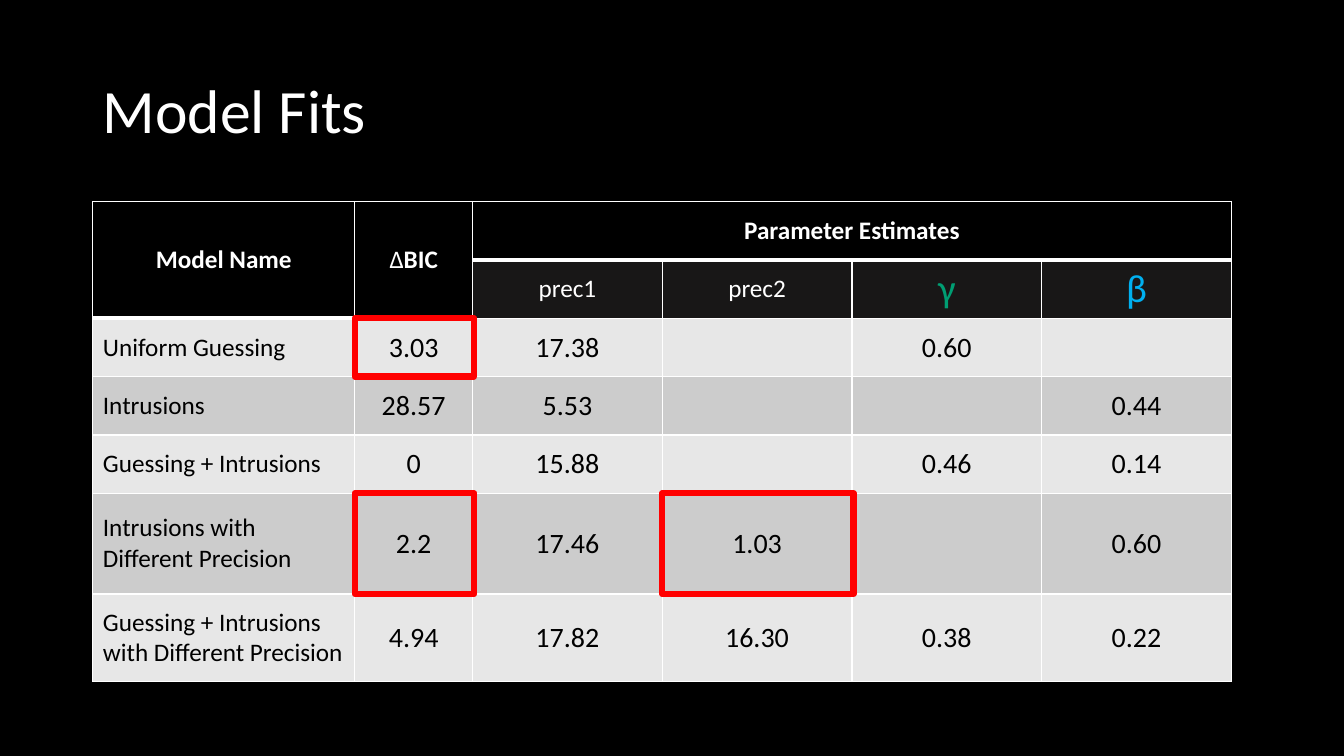
from dataclasses import dataclass

from lxml.etree import SubElement
from pptx import Presentation
from pptx.dml.color import RGBColor
from pptx.enum.shapes import MSO_SHAPE
from pptx.enum.text import MSO_ANCHOR, PP_ALIGN
from pptx.oxml.ns import qn
from pptx.slide import Slide
from pptx.table import Table, _Cell
from pptx.util import Cm, Pt

FONT = "Calibri"
BLACK = RGBColor(0x00, 0x00, 0x00)
WHITE = RGBColor(0xFF, 0xFF, 0xFF)
CHARCOAL = RGBColor(0x18, 0x17, 0x17)
LIGHT = RGBColor(0xE7, 0xE7, 0xE7)
GRAY = RGBColor(0xCC, 0xCC, 0xCC)
GREEN = RGBColor(0x00, 0x9E, 0x73)
BLUE = RGBColor(0x00, 0xB0, 0xF0)
RED = RGBColor(0xFF, 0x00, 0x00)

LEFT, TOP = 2.34, 5.08
COL_WIDTHS = [6.6, 2.97] + [4.78] * 4
ROW_HEIGHTS = [1.47] * 5 + [2.54, 2.21]


@dataclass
class Header:
    row: int
    col: int
    text: str
    rows: int = 1
    cols: int = 1
    size: int = 18
    color: RGBColor = WHITE
    bold: bool = False


@dataclass
class Model:
    name: str
    values: list[str]


@dataclass
class Highlight:
    row: int
    col: int


HEADERS = [
    Header(0, 0, "Model Name", rows=2, bold=True),
    Header(0, 1, "ΔBIC", rows=2, bold=True),
    Header(0, 2, "Parameter Estimates", cols=4, bold=True),
    Header(1, 2, "prec1"),
    Header(1, 3, "prec2"),
    Header(1, 4, "γ", size=28, color=GREEN),
    Header(1, 5, "β", size=28, color=BLUE),
]
MODELS = [
    Model("Uniform Guessing", ["3.03", "17.38", "", "0.60", ""]),
    Model("Intrusions", ["28.57", "5.53", "", "", "0.44"]),
    Model("Guessing + Intrusions", ["0", "15.88", "", "0.46", "0.14"]),
    Model("Intrusions with Different Precision", ["2.2", "17.46", "1.03", "", "0.60"]),
    Model("Guessing + Intrusions with Different Precision",
          ["4.94", "17.82", "16.30", "0.38", "0.22"]),
]
HIGHLIGHTS = [Highlight(2, 1), Highlight(5, 1), Highlight(5, 3)]


def border_below(row: int, col: int) -> int:
    """Return the width in points of the line under a cell."""
    return 3 if row == 0 or (row == 1 and col < 2) else 1


def style_cell(cell: _Cell, row: int, col: int, fill: RGBColor) -> None:
    """Give a cell its white borders, fill and vertical anchor."""
    tc_pr = cell._tc.get_or_add_tcPr()
    widths = {"a:lnL": 1, "a:lnR": 1,
              "a:lnT": border_below(row - 1, col), "a:lnB": border_below(row, col)}
    for tag, width in widths.items():
        ln = SubElement(tc_pr, qn(tag), w=str(Pt(width)))
        SubElement(SubElement(ln, qn("a:solidFill")), qn("a:srgbClr"), val=str(WHITE))
    cell.fill.solid()
    cell.fill.fore_color.rgb = fill
    cell.vertical_anchor = MSO_ANCHOR.MIDDLE


def write_cell(cell: _Cell, text: str, size: int, color: RGBColor,
               align: PP_ALIGN = PP_ALIGN.CENTER, bold: bool = False) -> None:
    """Write one formatted paragraph into a cell."""
    p = cell.text_frame.paragraphs[0]
    p.alignment = align
    p.font.name, p.font.size, p.font.bold = FONT, Pt(size), bold
    p.font.color.rgb = color
    for part in (["Δ", text[1:]] if text.startswith("Δ") else [text]):
        r = p.add_run()
        r.text = part
        if part == "Δ":
            r.font.bold = False


def add_title(s: Slide, text: str) -> None:
    """Add the slide title."""
    tf = s.shapes.add_textbox(Cm(2.34), Cm(1.02), Cm(29.21), Cm(3.68)).text_frame
    tf.word_wrap = True
    tf.vertical_anchor = MSO_ANCHOR.MIDDLE
    p = tf.paragraphs[0]
    p.text = text
    p.line_spacing = 0.9
    p.font.name, p.font.size = FONT, Pt(44)
    p.font.color.rgb = WHITE


def fill_table(table: Table) -> None:
    """Size, style and fill the table of model fits."""
    table.first_row = table.horz_banding = False
    for column, width in zip(table.columns, COL_WIDTHS):
        column.width = Cm(width)
    for row, height in enumerate(ROW_HEIGHTS):
        table.rows[row].height = Cm(height)
        for col in range(len(COL_WIDTHS)):
            if row < 2:
                fill = CHARCOAL if row == 1 and col > 1 else BLACK
            else:
                fill = GRAY if row % 2 else LIGHT
            style_cell(table.cell(row, col), row, col, fill)
    for h in HEADERS:
        cell = table.cell(h.row, h.col)
        if h.rows * h.cols > 1:
            cell.merge(table.cell(h.row + h.rows - 1, h.col + h.cols - 1))
        write_cell(cell, h.text, h.size, h.color, bold=h.bold)
    for row, model in enumerate(MODELS, start=2):
        write_cell(table.cell(row, 0), model.name, 18, BLACK, PP_ALIGN.LEFT)
        for col, value in enumerate(model.values, start=1):
            if value:
                write_cell(table.cell(row, col), value, 20, BLACK)


def add_highlight(s: Slide, mark: Highlight) -> None:
    """Outline one table cell in red."""
    sp = s.shapes.add_shape(
        MSO_SHAPE.RECTANGLE,
        Cm(LEFT + sum(COL_WIDTHS[:mark.col])), Cm(TOP + sum(ROW_HEIGHTS[:mark.row])),
        Cm(COL_WIDTHS[mark.col] + 0.04), Cm(ROW_HEIGHTS[mark.row]))
    sp.shadow.inherit = False
    sp.fill.background()
    sp.line.color.rgb = RED
    sp.line.width = Pt(4.5)


def main() -> None:
    """Build and save the slide."""
    prs = Presentation()
    prs.slide_width, prs.slide_height = Cm(33.87), Cm(19.05)
    s = prs.slides.add_slide(prs.slide_layouts[6])
    s.background.fill.solid()
    s.background.fill.fore_color.rgb = BLACK
    add_title(s, "Model Fits")
    frame = s.shapes.add_table(len(ROW_HEIGHTS), len(COL_WIDTHS), Cm(LEFT), Cm(TOP),
                               Cm(sum(COL_WIDTHS)), Cm(sum(ROW_HEIGHTS)))
    fill_table(frame.table)
    for mark in HIGHLIGHTS:
        add_highlight(s, mark)
    prs.save("out.pptx")


if __name__ == "__main__":
    main()
